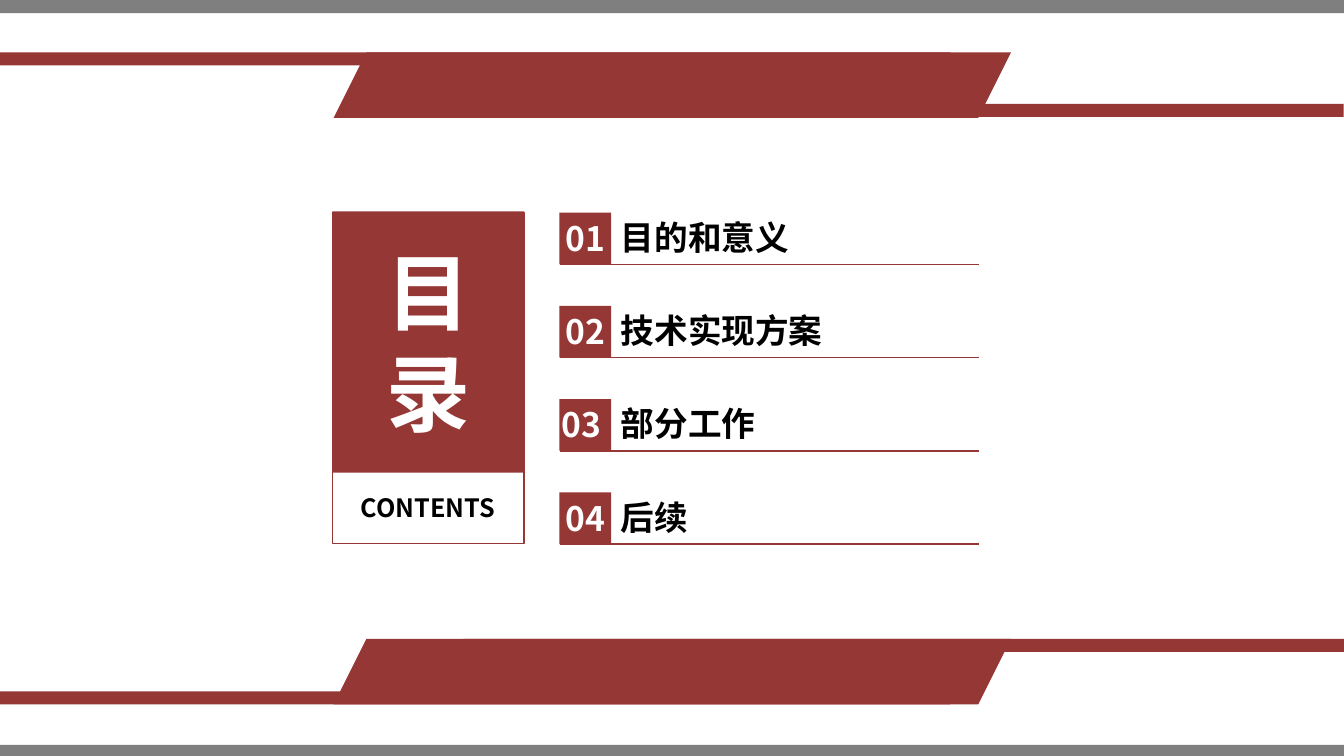
from dataclasses import dataclass

from lxml.etree import SubElement
from pptx import Presentation
from pptx.dml.color import RGBColor
from pptx.enum.shapes import MSO_CONNECTOR, MSO_SHAPE
from pptx.enum.text import MSO_AUTO_SIZE, PP_ALIGN
from pptx.oxml.ns import qn
from pptx.util import Cm, Pt


@dataclass(frozen=True)
class Theme:
    font: str = "Noto Sans CJK SC"
    red: str = "953734"
    gray: str = "7F7F7F"
    white: str = "FFFFFF"
    black: str = "000000"
    title: int = 60
    item: int = 24
    small: int = 18
    rule: int = 1


THEME = Theme()
WIDTH, HEIGHT = 33.87, 19.05
BAR = 0.33
ITEMS = ["目的和意义", "技术实现方案", "部分工作", "后续"]
LEFT, TOP, PITCH, SIDE = 14.1, 5.36, 2.35, 1.3


def color(code):
    return RGBColor.from_string(code)


def add_block(slide, box, fill=None, line=None, kind=MSO_SHAPE.RECTANGLE):
    shape = slide.shapes.add_shape(kind, *map(Cm, box))
    shape.shadow.inherit = False
    if fill:
        shape.fill.solid()
        shape.fill.fore_color.rgb = color(fill)
    else:
        shape.fill.background()
    if line:
        shape.line.color.rgb = color(line)
        shape.line.width = Pt(THEME.rule)
    else:
        shape.line.fill.background()
    return shape


def add_text(slide, box, text, size, ink, align=PP_ALIGN.CENTER):
    frame = slide.shapes.add_textbox(*map(Cm, box)).text_frame
    frame.word_wrap = True
    frame.auto_size = MSO_AUTO_SIZE.SHAPE_TO_FIT_TEXT
    frame.text = text
    para = frame.paragraphs[0]
    para.alignment = align
    run = para.runs[0]
    run.font.size = Pt(size)
    run.font.bold = True
    run.font.name = THEME.font
    run.font.color.rgb = color(ink)
    SubElement(run._r.get_or_add_rPr(), qn("a:ea")).set("typeface", THEME.font)


def add_rule(slide, left, right, y):
    rule = slide.shapes.add_connector(
        MSO_CONNECTOR.STRAIGHT, Cm(left), Cm(y), Cm(right), Cm(y))
    rule.line.color.rgb = color(THEME.red)
    rule.line.width = Pt(THEME.rule)
    SubElement(rule._element.spPr, qn("a:effectLst"))


def add_item(slide, index, label):
    y = TOP + index * PITCH
    add_text(slide, (LEFT + SIDE, y - 0.02, 10.11, 1.27), label,
             THEME.item, THEME.black, PP_ALIGN.LEFT)
    add_rule(slide, LEFT, 24.66, y + SIDE)
    add_block(slide, (LEFT, y, SIDE, SIDE), THEME.red)
    nudge = -0.1 if index == 2 else 0
    add_text(slide, (13.31 + nudge, y, 2.87, SIDE), f"{index + 1:02d}",
             THEME.item, THEME.white)


def add_panel(slide):
    add_block(slide, (8.38, TOP, 4.83, 8.33), line=THEME.red)
    add_text(slide, (8.46, 12.27, 4.65, 1.02), "CONTENTS",
             THEME.small, THEME.black)
    add_block(slide, (8.38, 5.33, 4.83, 6.58), THEME.red)
    add_text(slide, (8.86, 5.94, 3.86, 5.38), "目录",
             THEME.title, THEME.white)


def add_banner(slide, top, bars):
    for left, drop, width in bars:
        add_block(slide, (left, top + drop, width, BAR), THEME.red)
    banner = add_block(slide, (8.41, top, 17.07, 1.65), THEME.red,
                       kind=MSO_SHAPE.PARALLELOGRAM)
    banner.adjustments[0] = 0.5


def main():
    deck = Presentation()
    deck.slide_width, deck.slide_height = Cm(WIDTH), Cm(HEIGHT)
    slide = deck.slides.add_slide(deck.slide_layouts[6])
    for index, label in enumerate(ITEMS):
        add_item(slide, index, label)
    add_panel(slide)
    for y in (0, 18.77):
        add_block(slide, (0, y, WIDTH, BAR), THEME.gray)
    low = 1.3
    add_banner(slide, 1.32, [(0, 0, 23.95), (9.22, low, 15.19),
                             (9.91, low, 23.95)])
    add_banner(slide, 16.1, [(0, low + 0.02, 23.95), (11.68, 0, 22.2)])
    deck.save("out.pptx")


if __name__ == "__main__":
    main()
